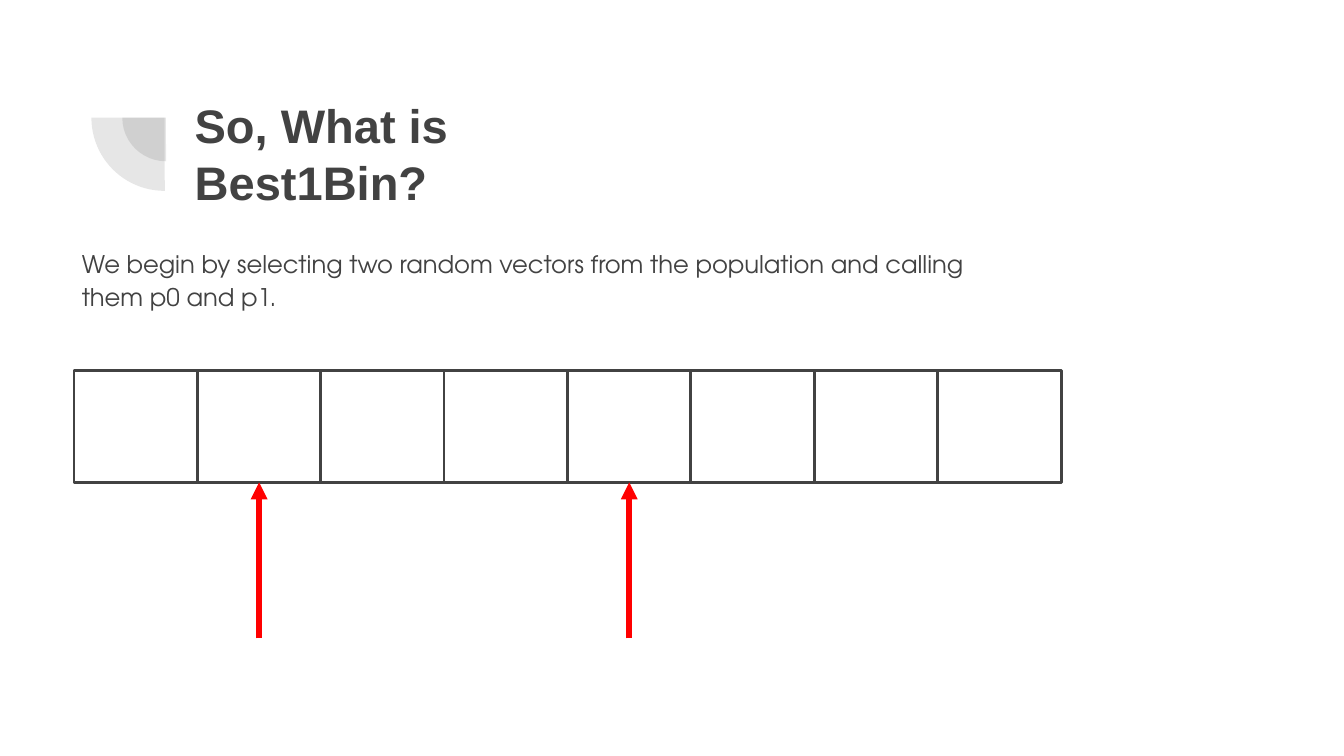
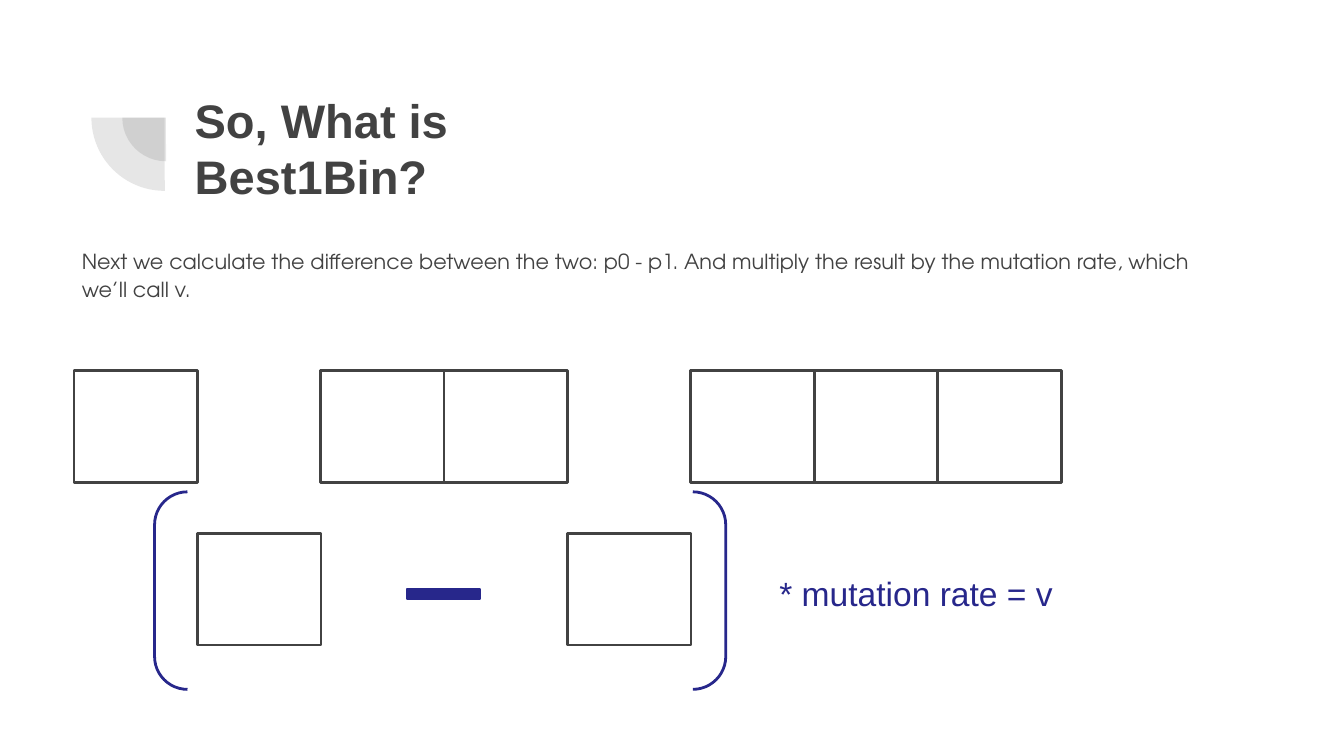
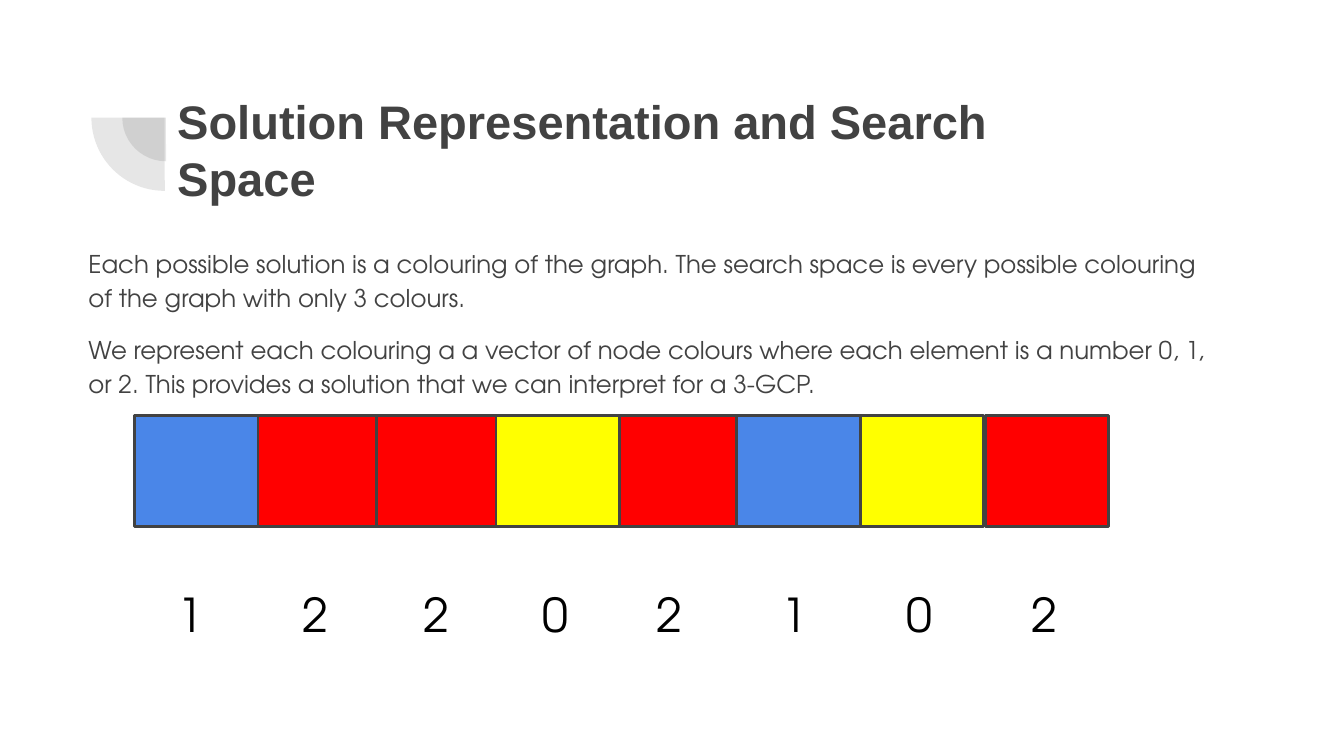
"""Build three slides on Best1Bin selection, mutation and solution vectors."""
from lxml import etree
from pptx import Presentation
from pptx.dml.color import RGBColor
from pptx.enum import shapes, text
from pptx.oxml import ns
from pptx.util import Inches, Pt

GREY = RGBColor(0x42, 0x42, 0x42)
WHITE = RGBColor(0xFF, 0xFF, 0xFF)
BLACK = RGBColor(0, 0, 0)
RED = RGBColor(0xFF, 0, 0)
BLUE = RGBColor(0x4A, 0x86, 0xE8)
YELLOW = RGBColor(0xFF, 0xFF, 0)
NAVY = RGBColor(0x27, 0x27, 0x8B)
HEAD_FONT = "Arial"
BODY_FONT = "TeX Gyre Adventor"
CELL_W, CELL_H = 0.92, 0.83
SHAPE = shapes.MSO_SHAPE


def add_text(s, content, box, size=13, font=BODY_FONT, color=GREY, bold=False, spacing=1.0, after=0):
    tf = s.shapes.add_textbox(*map(Inches, box)).text_frame
    tf.word_wrap = True
    tf.vertical_anchor = text.MSO_ANCHOR.TOP
    tf.margin_left = tf.margin_right = tf.margin_top = tf.margin_bottom = Inches(0.1)
    p = tf.paragraphs[0]
    p.line_spacing = spacing
    p.space_after = Pt(after)
    r = p.add_run()
    r.text = content
    r.font.size = Pt(size)
    r.font.name = font
    r.font.bold = bold
    r.font.color.rgb = color


def add_shape(s, kind, box, fill=None, line=None):
    sp = s.shapes.add_shape(kind, *map(Inches, box))
    sp.shadow.inherit = False
    if fill is None:
        sp.fill.background()
    else:
        sp.fill.solid()
        sp.fill.fore_color.rgb = fill
    if line is None:
        sp.line.fill.background()
    else:
        sp.line.color.rgb = line
        sp.line.width = Pt(1.5)
    return sp


prs = Presentation()
prs.slide_width = Inches(10)
prs.slide_height = Inches(10 * 9 / 16)

pages = [
    ("So, What is Best1Bin?", (1.35, 0.62, 3.65, 0.83), 13, [
        ("We begin by selecting two random vectors from the population and calling them p0 and p1.",
         (0.51, 1.72, 7.18, 0.49))]),
    ("So, What is Best1Bin?", (1.35, 0.58, 3.65, 0.83), 11.1, [
        ("Next we calculate the difference between the two: p0 - p1. And multiply the result by the "
         "mutation rate, which we’ll call v.", (0.51, 1.72, 8.59, 0.49))]),
    ("Solution Representation and Search Space", (1.22, 0.59, 6.69, 0.83), 13.1, [
        ("Each possible solution is a colouring of the graph. The search space is every possible "
         "colouring of the graph with only 3 colours.", (0.56, 1.72, 8.55, 0.73)),
        ("We represent each colouring a a vector of node colours where each element is a number 0, 1, "
         "or 2. This provides a solution that we can interpret for a 3-GCP.", (0.56, 2.36, 8.67, 0.73))]),
]
slides = []
for title, title_box, size, bodies in pages:
    s = prs.slides.add_slide(prs.slide_layouts[6])
    s.background.fill.solid()
    s.background.fill.fore_color.rgb = WHITE
    for pie_box in ((0.91, 0.55, 0.65, 0.65), (0.68, 0.33, 1.09, 1.09)):
        sp = add_shape(s, SHAPE.PIE, pie_box, GREY)
        sp.rotation = 270
        sp.adjustments[0] = 107.928
        sp.adjustments[1] = 162
        clr = sp.fill._xPr.find(".//" + ns.qn("a:srgbClr"))
        etree.SubElement(clr, ns.qn("a:alpha"), val="13000")
    add_text(s, title, title_box, size=25.2, font=HEAD_FONT, bold=True)
    for body, box in bodies:
        add_text(s, body, box, size=size, spacing=1.15, after=12)
    slides.append(s)
select, mutate, represent = slides

picked = (1, 4)
cell_lefts = [0.55 + 0.918 * i for i in range(8)]
for i, left in enumerate(cell_lefts):
    add_shape(select, SHAPE.RECTANGLE, (left, 2.76, CELL_W, CELL_H), WHITE, GREY)
    top = 3.97 if i in picked else 2.76
    add_shape(mutate, SHAPE.RECTANGLE, (left, top, CELL_W, CELL_H), WHITE, GREY)

for i in picked:
    x = Inches(cell_lefts[i] + CELL_W / 2)
    arrow = select.shapes.add_connector(shapes.MSO_CONNECTOR.STRAIGHT, x, Inches(4.75), x, Inches(3.59))
    arrow.line.color.rgb = RED
    arrow.line.width = Pt(3)
    etree.SubElement(arrow.line._get_or_add_ln(), ns.qn("a:tailEnd"), type="triangle")
    etree.SubElement(arrow._element.spPr, ns.qn("a:effectLst"))

add_shape(mutate, SHAPE.DOUBLE_BRACKET, (1.15, 3.66, 4.25, 1.47), line=NAVY)
add_shape(mutate, SHAPE.MATH_MINUS, (2.93, 4.26, 0.74, 0.32), NAVY, NAVY)
add_text(mutate, "* mutation rate = v", (5.7, 4.16, 2.44, 0.5), size=18, font=HEAD_FONT, color=NAVY)

node_colors = {"0": YELLOW, "1": BLUE, "2": RED}
nodes = list(zip("12202102",
                 (1, 1.9, 2.8, 3.69, 4.61, 5.48, 6.4, 7.33),
                 (1.22, 2.15, 3.05, 3.94, 4.79, 5.72, 6.65, 7.58)))
for digit, left, _ in sorted(nodes, key=lambda node: node[0] != "2"):
    add_shape(represent, SHAPE.RECTANGLE, (left, 3.09, CELL_W, CELL_H), node_colors[digit], GREY)
for digit, _, left in nodes:
    add_text(represent, digit, (left, 4.26, 0.43, 0.62), size=25, color=BLACK)

prs.save("out.pptx")
